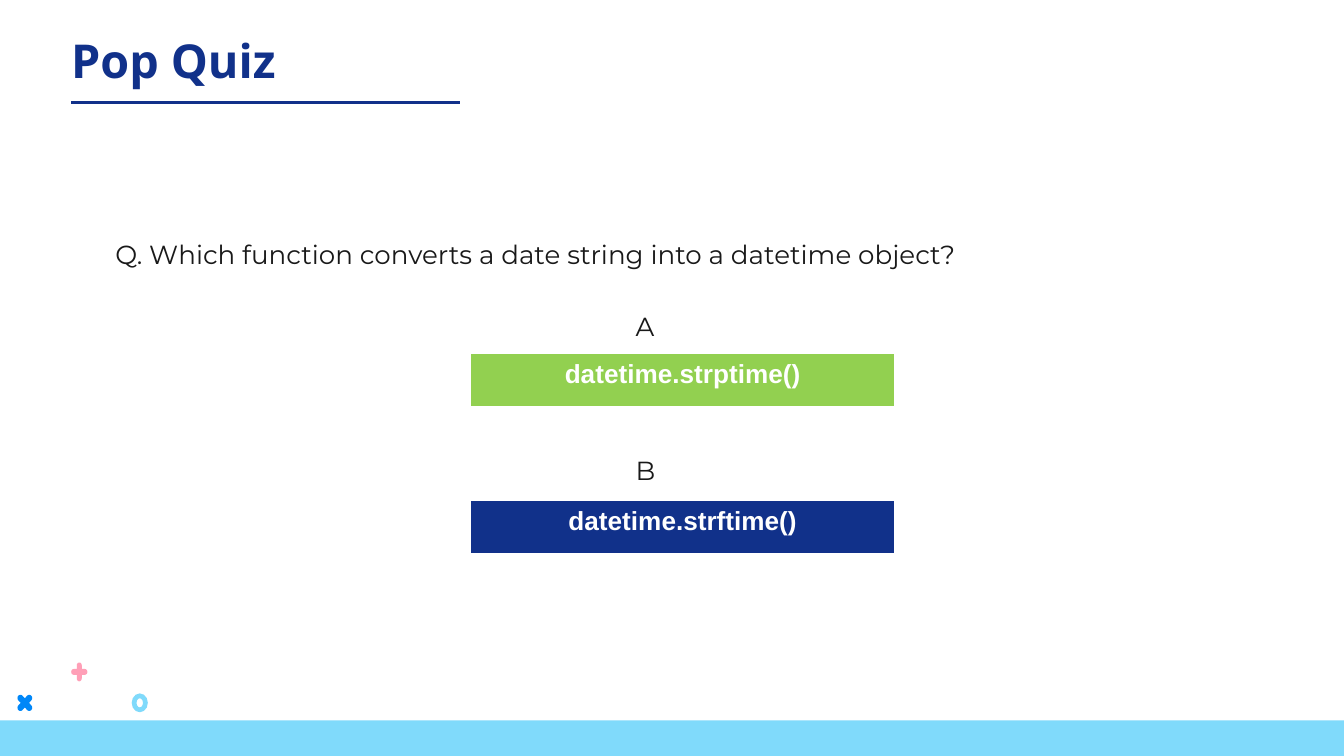
from dataclasses import dataclass
from math import cos, pi, sin

from lxml import etree
from pptx import Presentation
from pptx.dml.color import RGBColor
from pptx.enum.shapes import MSO_CONNECTOR, MSO_SHAPE
from pptx.enum.text import MSO_ANCHOR, PP_ALIGN
from pptx.oxml.ns import qn
from pptx.util import Emu, Inches, Pt

NAVY = RGBColor(0x11, 0x31, 0x8A)
SKY = RGBColor(0x80, 0xDA, 0xFB)
BLUE = RGBColor(0x00, 0x87, 0xF8)
PINK = RGBColor(0xFF, 0x9F, 0xB7)
GREEN = RGBColor(0x92, 0xD0, 0x50)
WHITE = RGBColor(0xFF, 0xFF, 0xFF)
INK = RGBColor(0x19, 0x19, 0x19)
RECT, DONUT = MSO_SHAPE.RECTANGLE, MSO_SHAPE.DONUT
STRAIGHT = MSO_CONNECTOR.STRAIGHT
LEFT, CENTER = PP_ALIGN.LEFT, PP_ALIGN.CENTER
TOP, MIDDLE = MSO_ANCHOR.TOP, MSO_ANCHOR.MIDDLE


@dataclass
class Line:
    text: str
    indent: float
    before: float


@dataclass
class Answer:
    text: str
    top: float
    color: RGBColor


@dataclass
class Cross:
    x: float
    y: float
    width: float
    height: float
    turn: float
    thick: float
    color: RGBColor


LINES = [
    Line("Q. Which function converts a date string into a datetime object?", 0.17, 0),
    Line("A", 4.04, 19.3),
    Line("B", 4.04, 57.9),
]
ANSWERS = [
    Answer("datetime.strptime()", 2.63, GREEN),
    Answer("datetime.strftime()", 3.72, NAVY),
]
CROSSES = [
    Cross(0.13, 5.17, 0.11, 0.12, pi / 4, 0.32, BLUE),
    Cross(0.53, 4.93, 0.12, 0.14, 0, 0.31, PINK),
]


def write(para, text: str, *, font: str, size: float, color: RGBColor,
          bold: bool = False, align=LEFT) -> None:
    para.alignment = align
    run = para.add_run()
    run.text = text
    run.font.name = font
    run.font.size = Pt(size)
    run.font.bold = bold
    run.font.color.rgb = color


def paint(shape, color: RGBColor) -> None:
    shape.shadow.inherit = False
    shape.fill.solid()
    shape.fill.fore_color.rgb = color
    shape.line.fill.background()


def set_pad(frame) -> None:
    frame.word_wrap = True
    frame.margin_left = frame.margin_right = Inches(0.1)
    frame.margin_top = frame.margin_bottom = Inches(0.1)


def add_title(slide) -> None:
    title = slide.shapes.title
    title.left, title.top = Inches(0.43), Inches(0.13)
    title.width, title.height = Inches(6.55), Inches(0.63)
    frame = title.text_frame
    set_pad(frame)
    frame.vertical_anchor = MIDDLE
    write(frame.paragraphs[0], "Pop Quiz", font="Open Sans", size=25,
          color=NAVY, bold=True)
    rule = slide.shapes.add_connector(
        STRAIGHT, Inches(0.53), Inches(0.76), Inches(3.42), Inches(0.76))
    rule.line.color.rgb = NAVY
    rule.line.width = Pt(1.5)
    etree.SubElement(rule._element.spPr, qn("a:effectLst"))


def add_lines(slide, lines: list[Line]) -> None:
    box = slide.shapes.add_textbox(Inches(0.59), Inches(1.64), Inches(8.98), Inches(3.14))
    frame = box.text_frame
    set_pad(frame)
    frame.vertical_anchor = TOP
    for i, line in enumerate(lines):
        para = frame.add_paragraph() if i else frame.paragraphs[0]
        para._p.get_or_add_pPr().set("marL", str(Inches(line.indent)))
        para.line_spacing = 1.15
        para.space_before = Pt(line.before)
        write(para, line.text, font="Montserrat", size=14, color=INK)


def add_answer(slide, answer: Answer) -> None:
    table = slide.shapes.add_table(
        1, 1, Inches(3.5), Inches(answer.top), Inches(3.16), Inches(0.41)).table
    cell = table.cell(0, 0)
    cell.margin_left = cell.margin_right = Inches(0.1)
    cell.margin_top = cell.margin_bottom = Inches(0.05)
    cell.vertical_anchor = TOP
    write(cell.text_frame.paragraphs[0], answer.text, font="Arial", size=14,
          color=WHITE, bold=True, align=CENTER)
    props = cell._tc.get_or_add_tcPr()
    for side, width in (("L", 1), ("R", 1), ("T", 1), ("B", 3)):
        edge = etree.SubElement(props, qn(f"a:ln{side}"), w=str(Pt(width)))
        fill = etree.SubElement(edge, qn("a:solidFill"))
        etree.SubElement(fill, qn("a:srgbClr"), val=str(WHITE))
    cell.fill.solid()
    cell.fill.fore_color.rgb = answer.color


def add_cross(slide, cross: Cross) -> None:
    """Draw four round-ended arms, scaled to fill the given box."""
    half = cross.thick
    points = []
    for arm in range(4):
        turn = cross.turn + arm * pi / 2
        local = [(half, -half)]
        for step in range(9):
            angle = -pi / 2 + step * pi / 8
            local.append((1 - half + half * cos(angle), half * sin(angle)))
        points += [(x * cos(turn) - y * sin(turn), x * sin(turn) + y * cos(turn))
                   for x, y in local]
    reach = max(x for x, _ in points)
    spots = [(Inches(cross.x + cross.width * (1 + x / reach) / 2),
              Inches(cross.y + cross.height * (1 + y / reach) / 2))
             for x, y in points]
    pen = slide.shapes.build_freeform(*spots[0], scale=1.0)
    pen.add_line_segments(spots[1:], close=True)
    paint(pen.convert_to_shape(Emu(0), Emu(0)), cross.color)


def add_decor(slide) -> None:
    bar = slide.shapes.add_shape(RECT, Inches(0), Inches(5.36), Inches(10), Inches(0.27))
    paint(bar, SKY)
    ring = slide.shapes.add_shape(
        DONUT, Inches(0.98), Inches(5.16), Inches(0.12), Inches(0.14))
    ring.adjustments[0] = 0.3
    paint(ring, SKY)
    for cross in CROSSES:
        add_cross(slide, cross)


def main() -> None:
    deck = Presentation()
    deck.slide_width = Inches(10)
    deck.slide_height = deck.slide_width * 9 // 16
    slide = deck.slides.add_slide(deck.slide_layouts[5])
    slide.background.fill.solid()
    slide.background.fill.fore_color.rgb = WHITE
    add_title(slide)
    add_lines(slide, LINES)
    add_decor(slide)
    for answer in ANSWERS:
        add_answer(slide, answer)
    deck.save("out.pptx")


if __name__ == "__main__":
    main()
